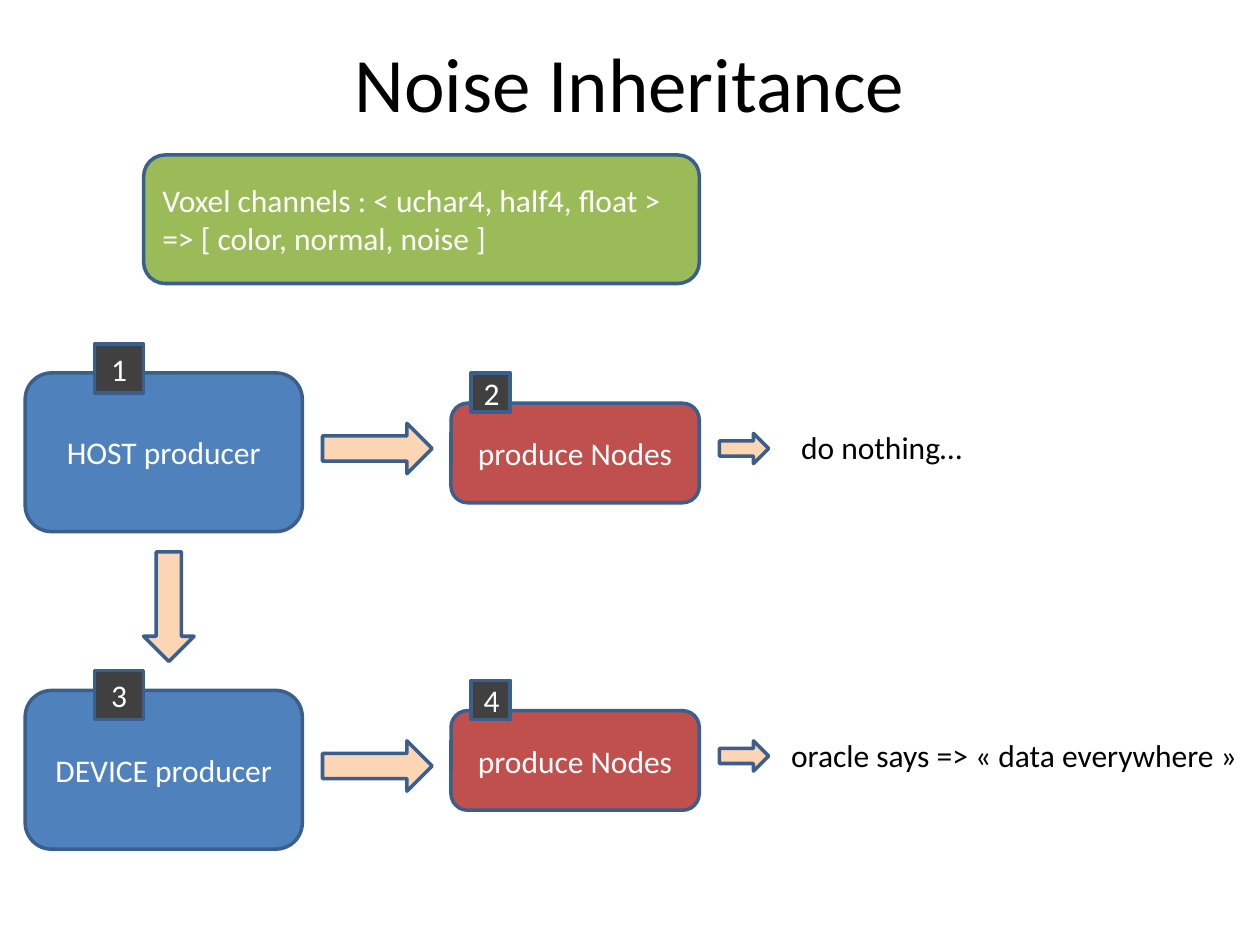
from pptx import Presentation
from pptx.dml.color import RGBColor
from pptx.enum.shapes import MSO_SHAPE
from pptx.enum.text import MSO_ANCHOR, MSO_AUTO_SIZE, PP_ALIGN
from pptx.util import Inches, Pt

BLUE = RGBColor(0x4F, 0x81, 0xBD)
RED = RGBColor(0xC0, 0x50, 0x4D)
GREEN = RGBColor(0x9B, 0xBB, 0x59)
PEACH = RGBColor(0xFC, 0xD5, 0xB5)
DARK = RGBColor(0x40, 0x40, 0x40)
OUTLINE = RGBColor(0x3A, 0x5F, 0x8C)
WHITE = RGBColor(0xFF, 0xFF, 0xFF)
BLACK = RGBColor(0x00, 0x00, 0x00)

ROUNDED, RECT = MSO_SHAPE.ROUNDED_RECTANGLE, MSO_SHAPE.RECTANGLE
RIGHT_ARROW, DOWN_ARROW = MSO_SHAPE.RIGHT_ARROW, MSO_SHAPE.DOWN_ARROW
LEFT, CENTER = PP_ALIGN.LEFT, PP_ALIGN.CENTER
TOP, MIDDLE = MSO_ANCHOR.TOP, MSO_ANCHOR.MIDDLE
FIT_SHAPE = MSO_AUTO_SIZE.SHAPE_TO_FIT_TEXT


def write(tf, text, size=18, color=WHITE, align=CENTER, anchor=MIDDLE):
    """Fill a text frame, one paragraph per line of text."""
    tf.vertical_anchor = anchor
    for i, line in enumerate(text.split("\n")):
        p = tf.add_paragraph() if i else tf.paragraphs[0]
        p.alignment = align
        r = p.add_run()
        r.text = line
        r.font.name = "Calibri"
        r.font.size = Pt(size)
        r.font.color.rgb = color


def add_shape(s, kind, x, y, w, h, fill, text="", **fmt):
    """Add an outlined shape, with text if there is any."""
    sp = s.shapes.add_shape(kind, Inches(x), Inches(y), Inches(w), Inches(h))
    sp.shadow.inherit = False
    sp.fill.solid()
    sp.fill.fore_color.rgb = fill
    sp.line.color.rgb = OUTLINE
    sp.line.width = Pt(2)
    if text:
        write(sp.text_frame, text, **fmt)


def add_text(s, x, y, w, h, text, wrap=True, grow=False, **fmt):
    """Add a plain text box in black."""
    sp = s.shapes.add_textbox(Inches(x), Inches(y), Inches(w), Inches(h))
    tf = sp.text_frame
    tf.word_wrap = wrap
    if grow:
        tf.auto_size = FIT_SHAPE
    write(tf, text, color=BLACK, **fmt)


def add_header(s, x, y):
    """Place the title and the voxel channel box."""
    add_text(s, x, y, 8.5, 0.87, "Noise Inheritance", size=44)
    add_shape(s, ROUNDED, x + 0.39, y + 1.02, 4.41, 1.02, GREEN,
              "Voxel channels : < uchar4, half4, float >\n"
              "=> [ color, normal, noise ]", align=LEFT)


def add_producer(s, x, y, name, number, badge_y):
    """Place a producer box, its numbered badge and the arrow to its right."""
    add_shape(s, ROUNDED, x, y, 2.2, 1.26, BLUE, f"{name} producer")
    add_shape(s, RIGHT_ARROW, x + 2.36, y + 0.4, 0.87, 0.4, PEACH)
    add_shape(s, RECT, x + 0.55, badge_y, 0.39, 0.39, DARK, number)


def add_nodes(s, x, y, number):
    """Place a node box, its numbered badge and the arrow to its right."""
    add_shape(s, ROUNDED, x, y, 1.97, 0.79, RED, "produce Nodes")
    add_shape(s, RIGHT_ARROW, x + 2.13, y + 0.24, 0.39, 0.24, PEACH)
    add_shape(s, RECT, x + 0.16, y - 0.24, 0.31, 0.31, DARK, number)


def main():
    """Build the slide and save it."""
    prs = Presentation()
    prs.slide_width, prs.slide_height = Inches(10), Inches(7.5)
    s = prs.slides.add_slide(prs.slide_layouts[6])

    add_header(s, 0.75, 0.21)
    add_producer(s, 0.2, 2.96, "HOST", "1", 2.73)
    add_producer(s, 0.2, 5.48, "DEVICE", "3", 5.32)
    add_shape(s, DOWN_ARROW, 1.14, 4.38, 0.4, 0.87, PEACH)
    add_nodes(s, 3.58, 3.2, "2")
    add_nodes(s, 3.58, 5.64, "4")
    result = dict(grow=True, align=LEFT, anchor=TOP)
    add_text(s, 6.26, 3.35, 1.49, 0.4, "do nothing…", wrap=False, **result)
    add_text(s, 6.18, 5.79, 3.82, 0.4,
             "oracle says => « data everywhere »", **result)

    prs.save("out.pptx")


if __name__ == "__main__":
    main()
